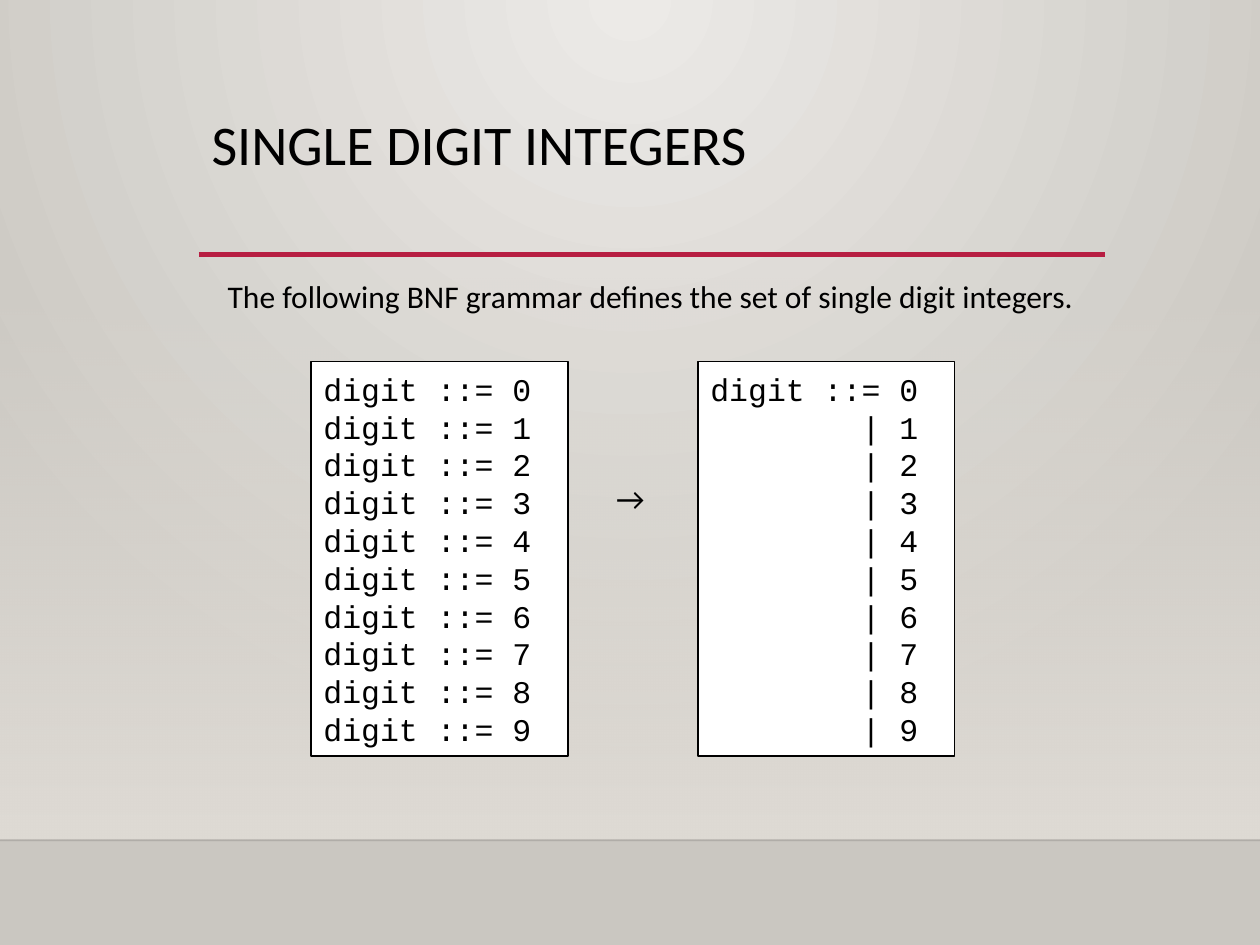
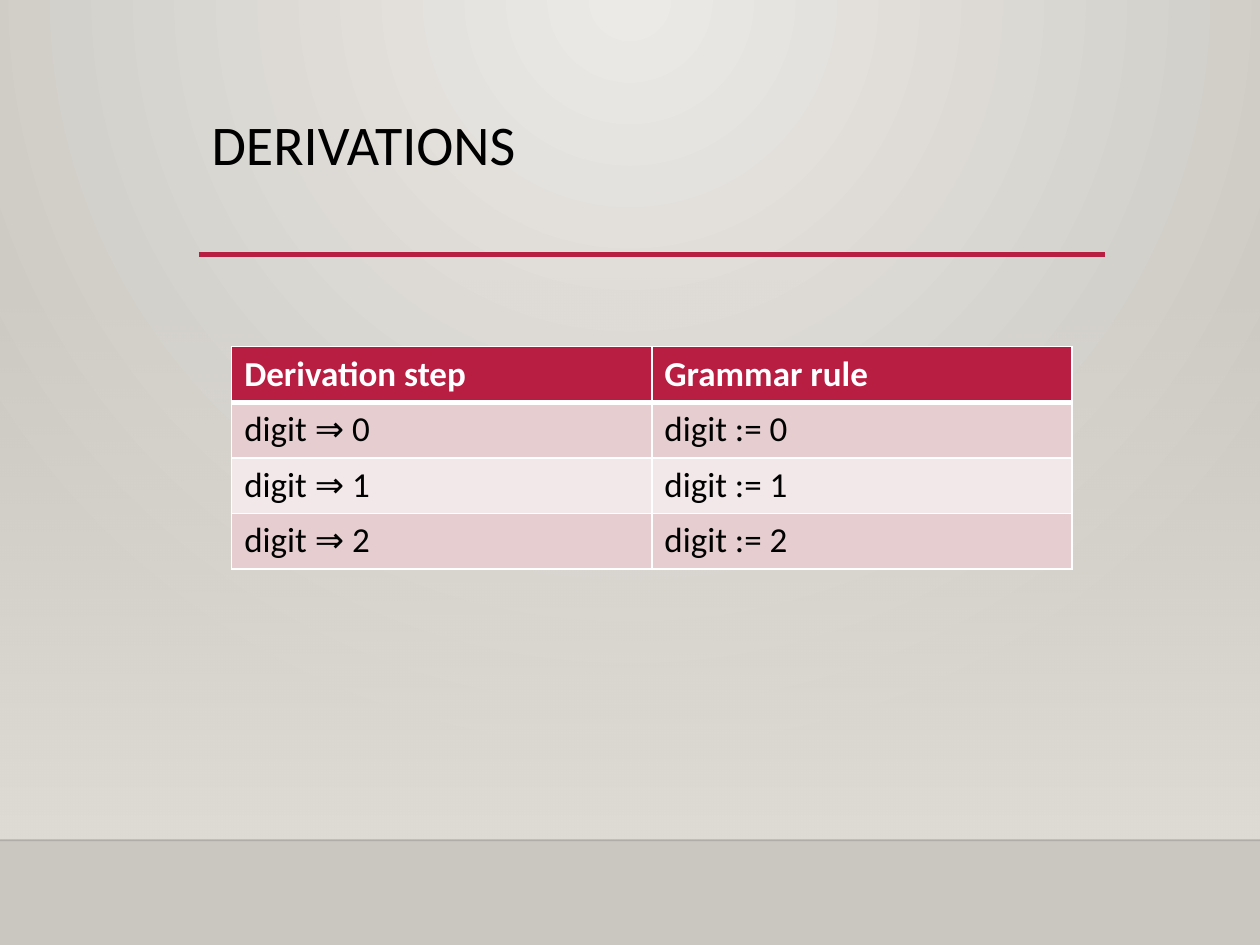
import lxml.etree
import pptx
import pptx.dml.color
import pptx.enum.shapes
import pptx.enum.text
import pptx.oxml.ns
import pptx.util

Cm = pptx.util.Cm
Pt = pptx.util.Pt
qn = pptx.oxml.ns.qn
TEXT = pptx.enum.text
SHAPE = pptx.enum.shapes

COLORS = {
    "ink": "000000",
    "white": "FFFFFF",
    "accent": "B71E42",
    "light": "ECEAE7",
    "dark": "CAC7C1",
    "glow": "DFDBD5",
    "odd": "E6CDCF",
    "even": "F3E8E9",
}
WIDE, HIGH = 25.4, 19.05
LEFT, RIGHT = 4.01, 22.28  # edges of the title and its rule
FLOOR = 16.94


def rgb(name):
    return pptx.dml.color.RGBColor.from_string(COLORS[name])


def child(node, tag, **attrs):
    return lxml.etree.SubElement(node, qn(tag), attrs)


def fade(shape, *levels):
    """Set the opacity, in percent, of a shape's colours in order."""
    for color, level in zip(shape._element.spPr.iter(qn("a:srgbClr")), levels):
        child(color, "a:alpha", val=str(level * 1000))


def blend(fill, *names):
    fill.gradient()
    for stop, name, place in zip(fill.gradient_stops, names, (0, 1)):
        stop.color.rgb = rgb(name)
        stop.position = place


class Deck:
    def __init__(self):
        self.prs = pptx.Presentation()
        self.prs.slide_width, self.prs.slide_height = Cm(WIDE), Cm(HIGH)
        self.slide = None
        self.paint()

    def paint(self):
        """Give the master a round gradient centred on the top edge."""
        master = self.prs.slide_master
        blend(master.background.fill, "light", "dark")
        grad = next(master._element.iter(qn("a:gradFill")))
        for lin in grad.findall(qn("a:lin")):
            grad.remove(lin)
        ring = child(grad, "a:path", path="circle")
        child(ring, "a:fillToRect", l="43000", t="0", r="43000", b="100000")

    def start(self, title):
        """Add a slide with the shared band, lines and title."""
        self.slide = self.prs.slides.add_slide(self.prs.slide_layouts[5])
        band = self.rect(0, 5.6, WIDE, FLOOR - 5.6)
        band.line.fill.background()
        blend(band.fill, "glow", "glow")
        band.fill.gradient_angle = 270
        fade(band, 0, 100)
        fade(self.rule(0, WIDE, FLOOR, "ink", 1), 20)
        self.rule(LEFT, RIGHT, 5.13, "accent", 2.5)

        head = self.slide.shapes.title
        head.left, head.top = Cm(LEFT), Cm(2.24)
        head.width, head.height = Cm(RIGHT - LEFT), Cm(2.92)
        self.put(head.text_frame, [title], size=32)
        head.text_frame.vertical_anchor = TEXT.MSO_ANCHOR.TOP
        head.text_frame.paragraphs[0].line_spacing = 0.9

    def put(self, frame, lines, color="ink", **style):
        """Fill a text frame, one paragraph a line, in the given style."""
        style = {"name": "Calibri", "size": 18, "bold": False, **style}
        style["size"] = Pt(style["size"])
        frame.text = "\n".join(lines)
        for para in frame.paragraphs:
            para.alignment = TEXT.PP_ALIGN.LEFT
            para.font.color.rgb = rgb(color)
            for key, value in style.items():
                setattr(para.font, key, value)

    def rect(self, x, y, w, h):
        shape = self.slide.shapes.add_shape(
            SHAPE.MSO_SHAPE.RECTANGLE, Cm(x), Cm(y), Cm(w), Cm(h))
        shape.shadow.inherit = False
        return shape

    def rule(self, x, end, y, color, width):
        line = self.slide.shapes.add_connector(
            SHAPE.MSO_CONNECTOR.STRAIGHT, Cm(x), Cm(y), Cm(end), Cm(y))
        line.line.color.rgb = rgb(color)
        line.line.width = Pt(width)
        child(line._element.spPr, "a:effectLst")
        return line

    def label(self, x, y, w, text):
        box = self.slide.shapes.add_textbox(Cm(x), Cm(y), Cm(w), Cm(1.02))
        box.text_frame.word_wrap = False
        self.put(box.text_frame, [text])

    def code(self, x, lines):
        box = self.rect(x, 7.29, 5.18, 7.95)
        box.fill.solid()
        box.fill.fore_color.rgb = rgb("white")
        box.line.color.rgb = rgb("ink")
        box.line.width = Pt(0.75)
        box.text_frame.word_wrap = True
        self.put(box.text_frame, lines, name="Courier New")

    def cell(self, cell, text, row):
        props = cell._tc.get_or_add_tcPr()
        for side in "LRTB":
            thick = (row, side) in ((0, "B"), (1, "T"))
            edge = child(props, f"a:ln{side}", w=str(Pt(3 if thick else 1)))
            paint = child(edge, "a:solidFill")
            child(paint, "a:srgbClr", val=COLORS["white"])
        fill = "accent" if row == 0 else "odd" if row % 2 else "even"
        cell.fill.solid()
        cell.fill.fore_color.rgb = rgb(fill)
        self.put(cell.text_frame, [text], "ink" if row else "white",
                 size=20, bold=row == 0)

    def table(self, x, y, w, rows):
        grid = self.slide.shapes.add_table(
            len(rows), len(rows[0]), Cm(x), Cm(y), Cm(w),
            Cm(1.1 * len(rows))).table
        for r, row in enumerate(rows):
            for c, text in enumerate(row):
                self.cell(grid.cell(r, c), text, r)


def main():
    deck = Deck()

    deck.start("SINGLE DIGIT INTEGERS")
    deck.label(4.34, 5.46, 17.6, "The following BNF grammar defines "
               "the set of single digit integers.")
    deck.code(6.27, [f"digit ::= {n}" for n in range(10)])
    deck.label(12.17, 9.53, 1.14, "→")
    deck.code(14.07, ["digit ::= 0"] + [f"        | {n}" for n in range(1, 10)])

    deck.start("DERIVATIONS")
    steps = [(f"digit ⇒ {n}", f"digit := {n}") for n in range(3)]
    deck.table(4.67, 6.99, 16.94, [("Derivation step", "Grammar rule")] + steps)

    deck.prs.save("out.pptx")


if __name__ == "__main__":
    main()
